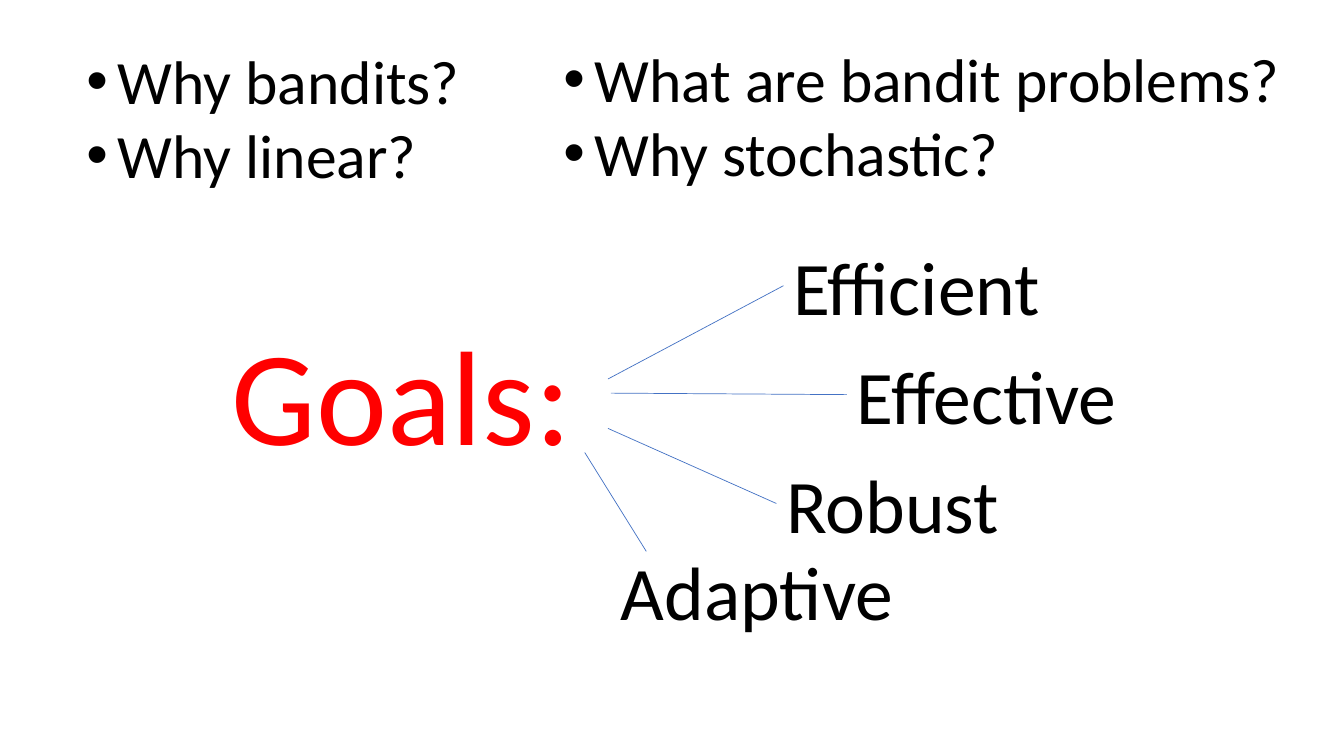
from lxml import etree
from pptx import Presentation
from pptx.dml.color import RGBColor
from pptx.enum.shapes import MSO_CONNECTOR
from pptx.enum.text import MSO_AUTO_SIZE
from pptx.oxml.ns import qn
from pptx.util import Inches, Pt

BLACK = RGBColor(0, 0, 0)
RED = RGBColor(0xFF, 0, 0)
BLUE = RGBColor(0x44, 0x72, 0xC4)
LINE = MSO_CONNECTOR.STRAIGHT
GROW = MSO_AUTO_SIZE.SHAPE_TO_FIT_TEXT

LISTS = [
    (["Why bandits?", "Why linear?"], (0.76, 0.38, 4.57, 1.58)),
    (["What are bandit problems?", "Why stochastic?"], (5.49, 0.36, 7.61, 1.58)),
]
HEAD = ("Goals:", (2.2, 3.04, 3.86, 1.72))
GOALS = [
    ("Efficient", (7.77, 2.33, 2.69, 1.01), (6.03, 3.76), (7.77, 2.84)),
    ("Effective", (8.4, 3.41, 2.82, 1.01), (6.06, 3.9), (8.4, 3.92)),
    ("Robust", (7.7, 4.49, 2.34, 1.01), (6.03, 4.25), (7.7, 4.99)),
    ("Adaptive", (6.06, 5.36, 2.94, 1.01), (5.8, 4.49), (6.41, 5.47)),
]
FROM_HEAD = {"Effective"}
TO_GOAL = {"Efficient", "Effective", "Robust"}

deck = Presentation()
deck.slide_width, deck.slide_height = Inches(13.33), Inches(7.5)
slide = deck.slides.add_slide(deck.slide_layouts[6])


def add_text(lines, area, size, color=BLACK, wrap=True, bullet=False):
    box = slide.shapes.add_textbox(*map(Inches, area))
    frame = box.text_frame
    frame.word_wrap = wrap
    frame.auto_size = GROW
    frame.text = "\n".join(lines)
    for para in frame.paragraphs:
        if bullet:
            props = para._p.get_or_add_pPr()
            props.set("marL", str(Inches(0.31)))
            props.set("indent", str(Inches(-0.31)))
            etree.SubElement(props, qn("a:buFont"), typeface="Arial")
            etree.SubElement(props, qn("a:buChar"), char="•")
        for run in para.runs:
            run.font.name = "Calibri"
            run.font.size = Pt(size)
            run.font.color.rgb = color
    return box


for lines, area in LISTS:
    add_text(lines, area, 44, bullet=True)

head = add_text([HEAD[0]], HEAD[1], 96, color=RED)

for name, area, start, end in GOALS:
    goal = add_text([name], area, 54, wrap=False)
    link = slide.shapes.add_connector(LINE, *map(Inches, start + end))
    link.line.color.rgb = BLUE
    link.line.width = Pt(0.5)
    etree.SubElement(link._element.spPr, qn("a:effectLst"))
    if name in FROM_HEAD:
        link.begin_connect(head, 3)
    if name in TO_GOAL:
        link.end_connect(goal, 1)

deck.save("out.pptx")
